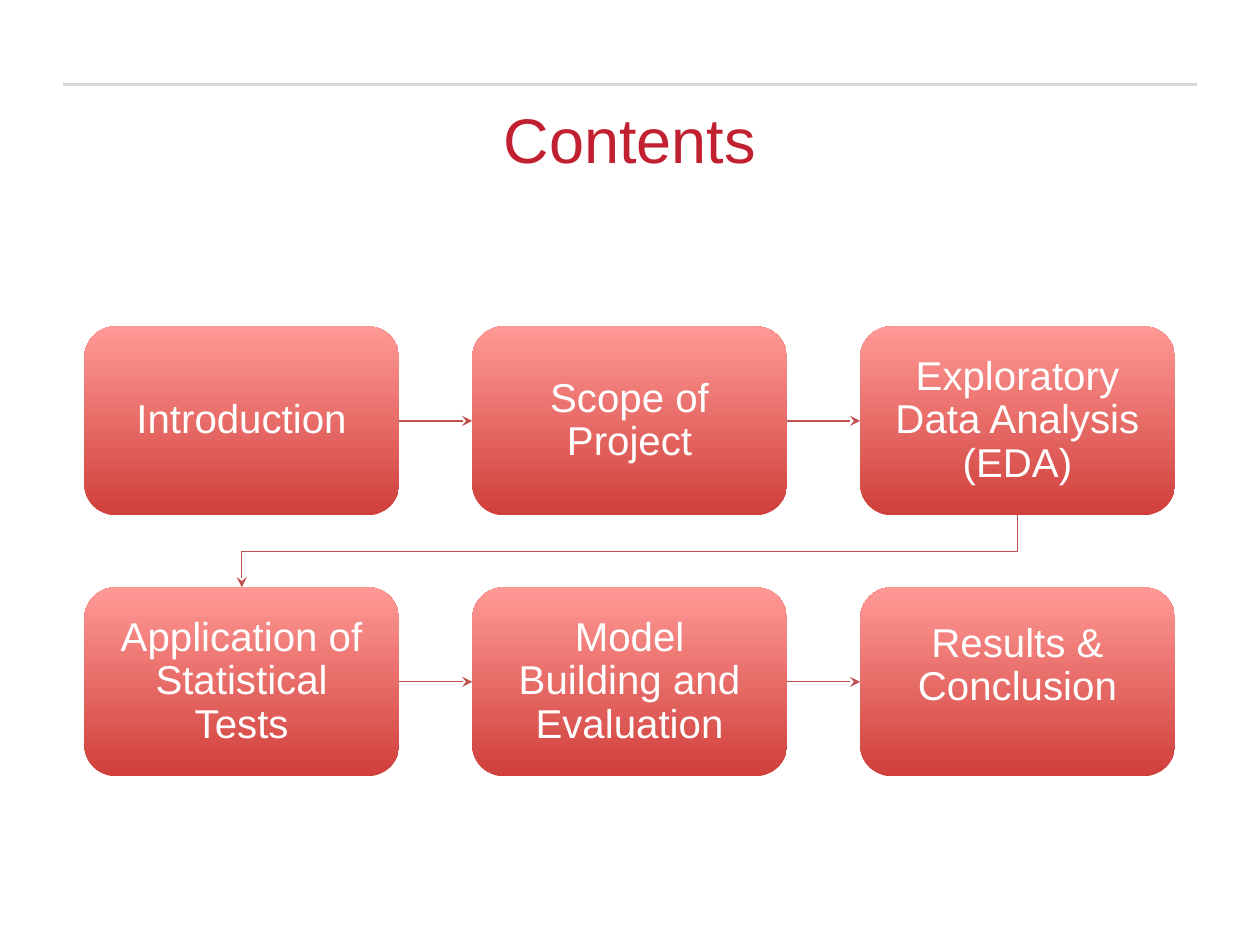
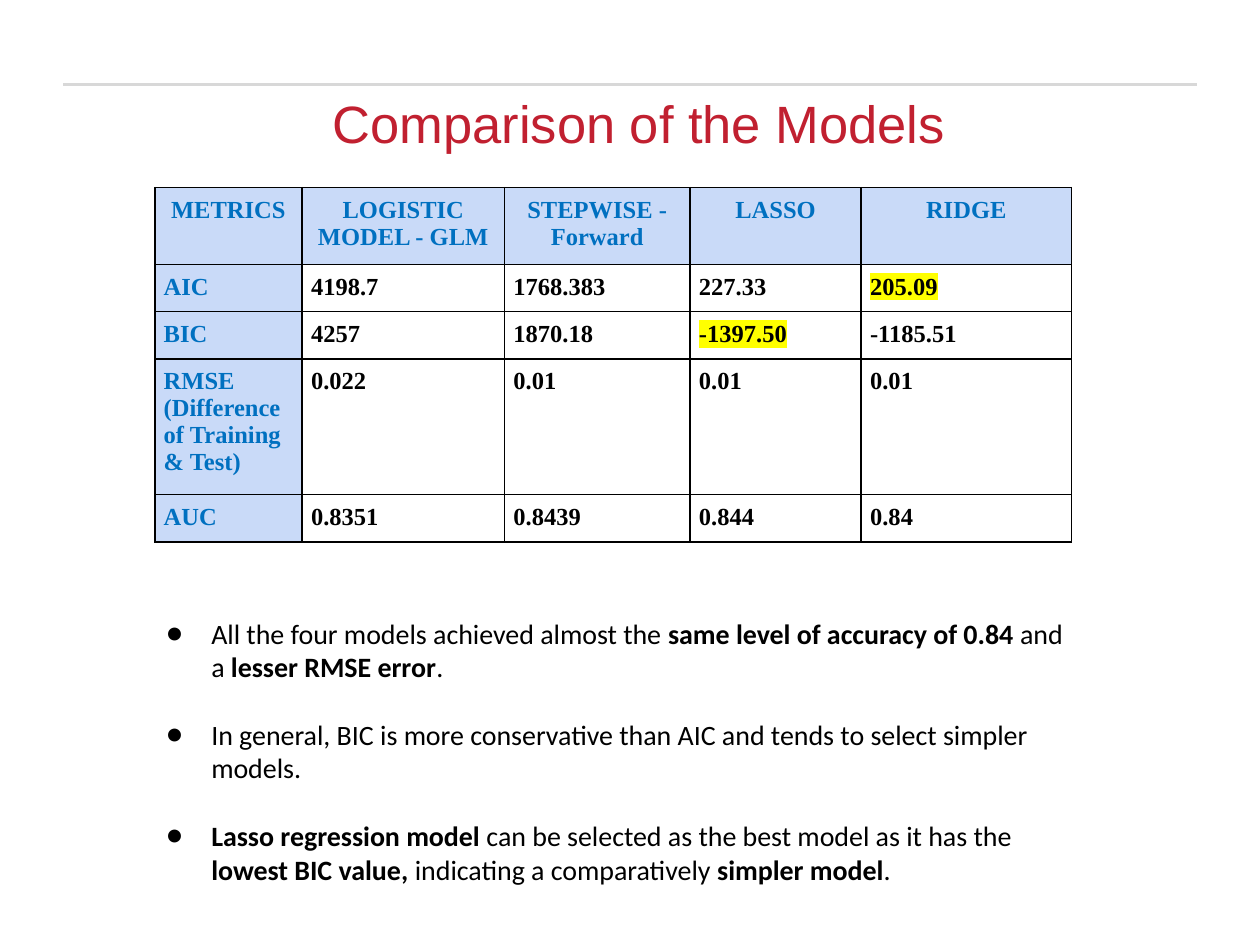
from lxml import etree
from pptx import Presentation
from pptx.dml.color import RGBColor
from pptx.enum.shapes import MSO_CONNECTOR, MSO_SHAPE
from pptx.enum.text import MSO_ANCHOR, PP_ALIGN
from pptx.oxml.ns import qn
from pptx.util import Cm, Pt

STRAIGHT, ELBOW = MSO_CONNECTOR.STRAIGHT, MSO_CONNECTOR.ELBOW
ROUNDED = MSO_SHAPE.ROUNDED_RECTANGLE
CENTER, LEFT = PP_ALIGN.CENTER, PP_ALIGN.LEFT
MIDDLE = MSO_ANCHOR.MIDDLE
TOP_SIDE, LEFT_SIDE, BOTTOM_SIDE, RIGHT_SIDE = range(4)

TITLE_RED, RULE_GREY, ARROW_RED = "C12030", "D8D8D8", "BF504D"
STEP_BOTTOM, STEP_TOP = "D03F3B", "FF9995"
HEADING_BLUE, HEADING_FILL, MARKER = "0070C0", "C9DAF8", "FFFF00"
BLACK, WHITE = "000000", "FFFFFF"

STEP_ROWS = [
    ["Introduction", "Scope of Project", "Exploratory Data Analysis (EDA)"],
    ["Application of Statistical Tests", "Model\nBuilding and Evaluation",
     "Results & Conclusion"],
]
STEP_WIDTH, STEP_HEIGHT = 6.35, 3.81
STEP_LEFT, STEP_FIRST_TOP = 1.7, 6.58
STEP_PITCH_X, STEP_PITCH_Y = 7.82, 5.26

METRICS = [
    ["METRICS", "LOGISTIC MODEL - GLM", "STEPWISE - Forward", "LASSO", "RIDGE"],
    ["AIC", "4198.7", "1768.383", "227.33", "205.09"],
    ["BIC", "4257", "1870.18", "-1397.50", "-1185.51"],
    ["RMSE (Difference of Training & Test)", "0.022", "0.01", "0.01", "0.01"],
    ["AUC", "0.8351", "0.8439", "0.844", "0.84"],
]
BEST_VALUES = {"205.09", "-1397.50"}
COLUMN_WIDTHS = [2.97, 4.08, 3.74, 3.45, 4.24]
ROW_HEIGHTS = [1.52, 0.95, 0.95, 2.72, 0.95]

FINDINGS = [
    [("All the four models achieved almost the ", False),
     ("same level of accuracy of 0.84", True), (" and a ", False),
     ("lesser RMSE error", True), (".", False)],
    [("In general, BIC is more conservative than AIC and tends to select "
      "simpler models.", False)],
    [("Lasso regression model ", True),
     ("can be selected as the best model as it has the ", False),
     ("lowest BIC value, ", True),
     ("indicating a comparatively ", False), ("simpler model", True),
     (".", False)],
]


def rgb(hex_color):
    """Turn a hex string into a colour."""
    return RGBColor.from_string(hex_color)


def add_element(parent, tag, **attributes):
    """Append a DrawingML element and return it."""
    return etree.SubElement(parent, qn(tag), attributes)


def style_font(font, name, size, color, bold=False):
    """Set the face, size, colour and weight of a font."""
    font.name, font.size, font.bold = name, Pt(size), bold
    font.color.rgb = rgb(color)


def style_runs(frame, alignment, name, size, color, bold=False):
    """Align every paragraph and style every run of a text frame."""
    for paragraph in frame.paragraphs:
        paragraph.alignment = alignment
        for run in paragraph.runs:
            style_font(run.font, name, size, color, bold)


def set_margins(frame, horizontal, vertical):
    """Set the insets of a text frame."""
    frame.margin_left = frame.margin_right = Cm(horizontal)
    frame.margin_top = frame.margin_bottom = Cm(vertical)


def add_text_box(slide, left, top, width, height):
    """Add a wrapping text box and return its text frame."""
    frame = slide.shapes.add_textbox(Cm(left), Cm(top), Cm(width), Cm(height)).text_frame
    frame.word_wrap = True
    set_margins(frame, 0.25, 0.13)
    return frame


def style_line(connector, color, width):
    """Colour a connector and clear its shadow."""
    connector.line.color.rgb = rgb(color)
    connector.line.width = Pt(width)
    add_element(connector._element.spPr, "a:effectLst")


def add_titled_slide(deck, title, left, top, height, size):
    """Add a blank slide with the top rule and a centred title."""
    slide = deck.slides.add_slide(deck.slide_layouts[6])
    rule = slide.shapes.add_connector(STRAIGHT, Cm(1.27), Cm(1.7), Cm(24.13), Cm(1.7))
    style_line(rule, RULE_GREY, 2)
    frame = add_text_box(slide, left, top, 22.86, height)
    frame.text = title
    style_runs(frame, CENTER, "Arial", size, TITLE_RED)
    return slide


def add_step(slide, label, column, row):
    """Add one gradient step box at its place in the grid."""
    step = slide.shapes.add_shape(
        ROUNDED, Cm(STEP_LEFT + column * STEP_PITCH_X),
        Cm(STEP_FIRST_TOP + row * STEP_PITCH_Y), Cm(STEP_WIDTH), Cm(STEP_HEIGHT))
    step.shadow.inherit = False
    step.line.fill.background()
    step.fill.gradient()
    step.fill.gradient_angle = 90
    for stop, color in zip(step.fill.gradient_stops, (STEP_BOTTOM, STEP_TOP)):
        stop.color.rgb = rgb(color)
    frame = step.text_frame
    frame.word_wrap = True
    frame.vertical_anchor = MIDDLE
    set_margins(frame, 0.5, 0.5)
    frame.text = label
    style_runs(frame, CENTER, "Arial", 23, WHITE)
    for paragraph in frame.paragraphs:
        paragraph.line_spacing = 0.9
    return step


def style_arrow(connector):
    """Give a connector the flow colour and a stealth head."""
    style_line(connector, ARROW_RED, 0.75)
    add_element(connector.line._get_or_add_ln(), "a:tailEnd", type="stealth")


def add_arrow(slide, source, target):
    """Join two neighbouring steps with a straight arrow."""
    arrow = slide.shapes.add_connector(STRAIGHT, 0, 0, 0, 0)
    arrow.begin_connect(source, RIGHT_SIDE)
    arrow.end_connect(target, LEFT_SIDE)
    style_arrow(arrow)


def add_return_arrow(slide, source, target):
    """Lead from the last step of a row down to the first of the next."""
    start_x = source.left + source.width // 2
    end_x = target.left + target.width // 2
    start_y, end_y = source.top + source.height, target.top
    center_x, center_y = (start_x + end_x) // 2, (start_y + end_y) // 2
    half_drop, half_run = (end_y - start_y) // 2, (start_x - end_x) // 2
    arrow = slide.shapes.add_connector(
        ELBOW, center_x - half_drop, center_y - half_run,
        center_x + half_drop, center_y + half_run)
    arrow._element.spPr.find(qn("a:xfrm")).set("rot", "5400000")
    style_arrow(arrow)


def add_borders(cell):
    """Draw a thin black border on every side of a cell."""
    properties = cell._tc.get_or_add_tcPr()
    for position, side in enumerate(("a:lnL", "a:lnR", "a:lnT", "a:lnB")):
        border = add_element(properties, side, w=str(Pt(1)))
        add_element(add_element(border, "a:solidFill"), "a:srgbClr", val=BLACK)
        properties.insert(position, border)


def highlight(run):
    """Mark a run with the highlighter colour."""
    marker = etree.Element(qn("a:highlight"))
    add_element(marker, "a:srgbClr", val=MARKER)
    run.font._element.find(qn("a:solidFill")).addnext(marker)


def fill_cell(cell, text, is_header, is_heading):
    """Write and style one table cell."""
    cell.text = text
    set_margins(cell, 0.18, 0.18)
    if is_heading:
        cell.fill.solid()
        cell.fill.fore_color.rgb = rgb(HEADING_FILL)
    else:
        cell.fill.background()
    add_borders(cell)
    style_runs(cell.text_frame, CENTER if is_header else LEFT, "Times New Roman", 14,
               HEADING_BLUE if is_heading else BLACK, True)
    if text in BEST_VALUES:
        highlight(cell.text_frame.paragraphs[0].runs[0])


def add_metrics_table(slide):
    """Add the table that compares the models."""
    table = slide.shapes.add_table(
        len(METRICS), len(METRICS[0]), Cm(3.12), Cm(3.78),
        Cm(sum(COLUMN_WIDTHS)), Cm(sum(ROW_HEIGHTS))).table
    table.horz_banding = False
    for column, width in zip(table.columns, COLUMN_WIDTHS):
        column.width = Cm(width)
    for row, height in zip(table.rows, ROW_HEIGHTS):
        row.height = Cm(height)
    for r, values in enumerate(METRICS):
        for c, value in enumerate(values):
            fill_cell(table.cell(r, c), value, r == 0, r == 0 or c == 0)


def add_bullet(paragraph):
    """Give a paragraph a hanging round bullet."""
    properties = paragraph._p.get_or_add_pPr()
    properties.set("marL", str(Cm(1.27)))
    properties.set("indent", str(Cm(-0.91)))
    add_element(add_element(properties, "a:buClr"), "a:srgbClr", val=BLACK)
    add_element(properties, "a:buFont", typeface="Calibri")
    add_element(properties, "a:buChar", char="●")


def add_findings(slide):
    """Add the bulleted findings below the table."""
    frame = add_text_box(slide, 2.74, 12.29, 19.23, 5.74)
    for index, pieces in enumerate(FINDINGS):
        paragraph = frame.add_paragraph() if index else frame.paragraphs[0]
        add_bullet(paragraph)
        if index:
            paragraph.space_before = Pt(19.5)
        for text, bold in pieces:
            run = paragraph.add_run()
            run.text = text
            style_font(run.font, "Calibri", 16, BLACK, bold)


def build_contents(deck):
    """Build the slide with the flow of chapters."""
    slide = add_titled_slide(deck, "Contents", 1.27, 1.9, 2.11, 36)
    steps = [[add_step(slide, label, column, row) for column, label in enumerate(labels)]
             for row, labels in enumerate(STEP_ROWS)]
    for row in steps:
        for source, target in zip(row, row[1:]):
            add_arrow(slide, source, target)
    add_return_arrow(slide, steps[0][-1], steps[1][0])
    steps[1][-1].text_frame.margin_bottom = Cm(1.14)


def build_comparison(deck):
    """Build the slide that compares the models."""
    slide = add_titled_slide(deck, "Comparison of the Models", 1.45, 1.7, 1.63, 30)
    add_findings(slide)
    add_metrics_table(slide)


def main():
    """Build and save the deck."""
    deck = Presentation()
    deck.slide_width, deck.slide_height = Cm(25.4), Cm(19.05)
    build_contents(deck)
    build_comparison(deck)
    deck.save("out.pptx")


if __name__ == "__main__":
    main()
